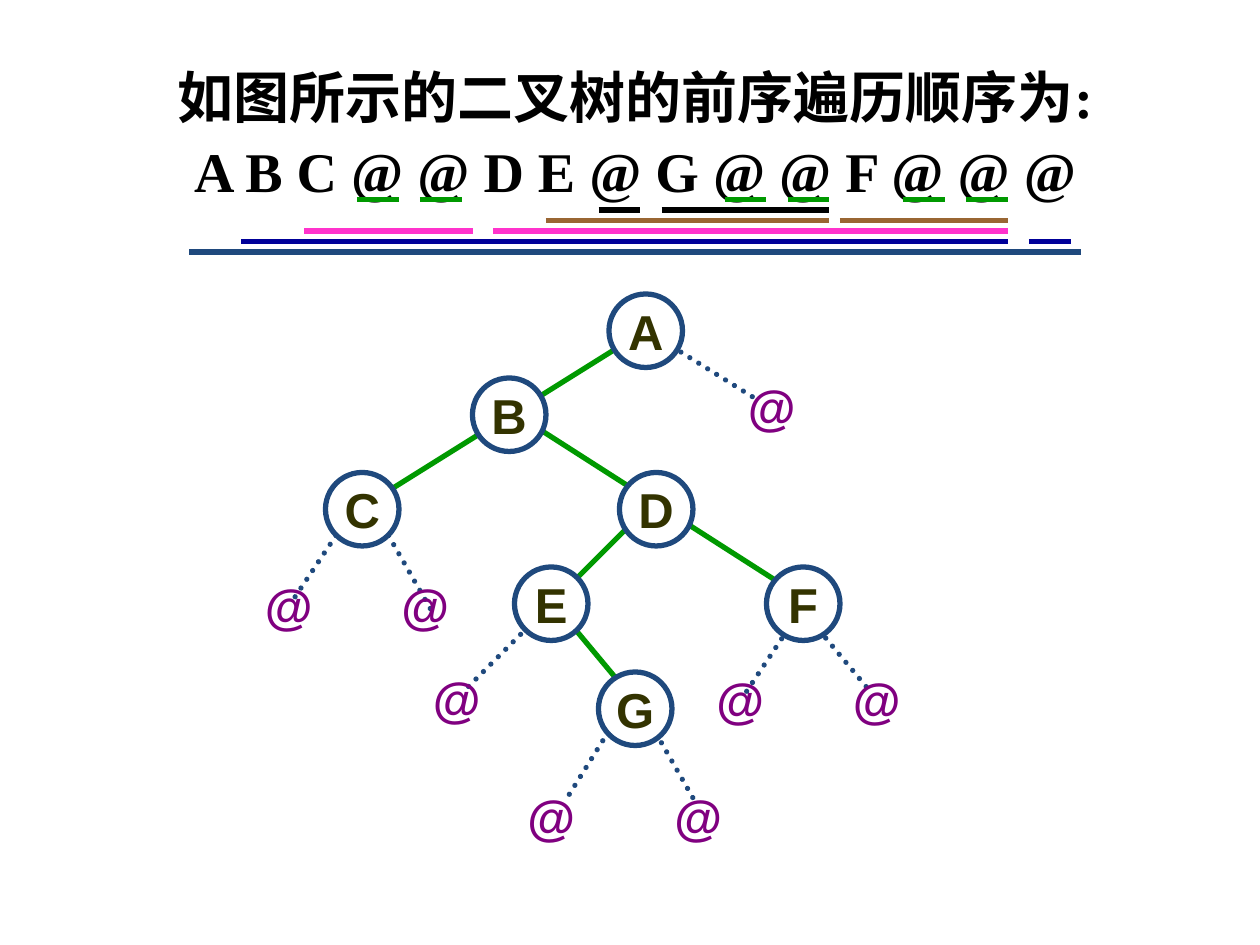
from pptx import Presentation
from pptx.dml.color import RGBColor
from pptx.enum import dml, shapes, text
from pptx.oxml.ns import qn
from pptx.util import Inches, Pt
from lxml import etree

BLACK = RGBColor(0x00, 0x00, 0x00)
WHITE = RGBColor(0xFF, 0xFF, 0xFF)
STEEL = RGBColor(0x1F, 0x49, 0x7D)
GREEN = RGBColor(0x00, 0x99, 0x00)
NAVY = RGBColor(0x00, 0x00, 0x99)
PINK = RGBColor(0xFF, 0x33, 0xCC)
BROWN = RGBColor(0x99, 0x66, 0x33)
OLIVE = RGBColor(0x33, 0x33, 0x00)
PURPLE = RGBColor(0x80, 0x00, 0x80)

SIZE = 7  # width of a node or leaf, in grid units

HEAD = ["如图所示的二叉树的前序遍历顺序为:", "A B C @ @ D E @ G @ @ F @ @ @"]

# One row for each depth of subtree, deepest first: colour, spans
RULES = [
    (GREEN, [(21, 25), (27, 31), (56, 60), (62, 66), (73, 77), (79, 83)]),
    (BLACK, [(44, 48), (50, 66)]),
    (BROWN, [(39, 66), (67, 83)]),
    (PINK, [(16, 32), (34, 83)]),
    (NAVY, [(10, 83), (85, 89)]),
    (STEEL, [(5, 90)]),
]

NODES = {"A": (34, 0), "B": (21, 8), "C": (7, 17), "D": (35, 17),
         "E": (25, 26), "F": (49, 26), "G": (33, 36)}

# A-B-C and B-D-F each run behind the node between them
EDGES = [((30, 31), (35, 37)), ((36, 22), (29, 29)),
         ((26, 12), (51, 28)), ((35, 5), (11, 20))]

# Empty subtrees: place of the leaf, start and end of its dotted line
LEAVES = [
    ((0, 26.1), (8, 23), (4, 29)),
    ((13, 26.1), (13, 23), (17, 30)),
    ((16, 35), (27, 31), (20, 38)),
    ((25, 46.2), (35, 40), (30, 48)),
    ((39, 46.2), (38, 41), (42, 48)),
    ((43, 35.1), (51, 32), (47, 38)),
    ((56, 35.1), (54, 32), (59, 38)),
    ((46, 7.2), (40, 5), (48, 10)),
]


def unit(n):
    """Length of n grid units, twelve to the inch."""
    return Inches(n / 12)


def add_line(slide, x, y, start, end, color, dotted=False):
    ends = [unit(n) for n in (x + start[0], y + start[1],
                              x + end[0], y + end[1])]
    line = slide.shapes.add_connector(shapes.MSO_CONNECTOR.STRAIGHT, *ends)
    line.line.color.rgb = color
    line.line.width = Pt(3)
    if dotted:
        line.line.dash_style = dml.MSO_LINE.ROUND_DOT
        line.line._get_or_add_ln().set("cap", "rnd")
    etree.SubElement(line._element.spPr, qn("a:effectLst"))


def style(par, font, size, color):
    par.alignment = text.PP_ALIGN.CENTER
    par.font.name = font
    par.font.size = Pt(size)
    par.font.bold = True
    par.font.color.rgb = color


def label(shape, word, color):
    frame = shape.text_frame
    frame.word_wrap = False
    frame.vertical_anchor = text.MSO_ANCHOR.MIDDLE
    frame.text = word
    style(frame.paragraphs[0], "Arial", 28, color)


def add_heading(slide, x, y, w, h):
    box = slide.shapes.add_textbox(unit(x), unit(y), unit(w), unit(h))
    frame = box.text_frame
    frame.word_wrap = True
    frame.vertical_anchor = text.MSO_ANCHOR.MIDDLE
    frame.text = "\n".join(HEAD)
    for par in frame.paragraphs:
        par.line_spacing = 1.1
        style(par, "Times New Roman", 32, BLACK)


def add_rules(slide, x, y):
    """Underline each subtree in the order, one row for each depth."""
    for row, (color, spans) in enumerate(RULES):
        for left, right in spans:
            add_line(slide, x, y, (left, row), (right, row), color)


def add_tree(slide, x, y):
    for _, start, end in LEAVES:
        add_line(slide, x, y, start, end, STEEL, dotted=True)
    for start, end in EDGES:
        add_line(slide, x, y, start, end, GREEN)
    for name, (left, top) in NODES.items():
        node = slide.shapes.add_shape(
            shapes.MSO_SHAPE.OVAL, unit(x + left), unit(y + top),
            unit(SIZE), unit(SIZE))
        node.shadow.inherit = False
        node.fill.solid()
        node.fill.fore_color.rgb = WHITE
        node.line.color.rgb = STEEL
        node.line.width = Pt(3)
        label(node, name, OLIVE)
    for (left, top), _, _ in LEAVES:
        leaf = slide.shapes.add_textbox(
            unit(x + left), unit(y + top), unit(SIZE), unit(SIZE))
        label(leaf, "@", PURPLE)


def main():
    deck = Presentation()
    deck.slide_width, deck.slide_height = Inches(10), Inches(7.5)
    slide = deck.slides.add_slide(deck.slide_layouts[6])
    add_heading(slide, 13, 4.7, 95, 15.4)
    add_tree(slide, 24, 28)
    add_rules(slide, 13, 19)
    deck.save("out.pptx")


if __name__ == "__main__":
    main()
